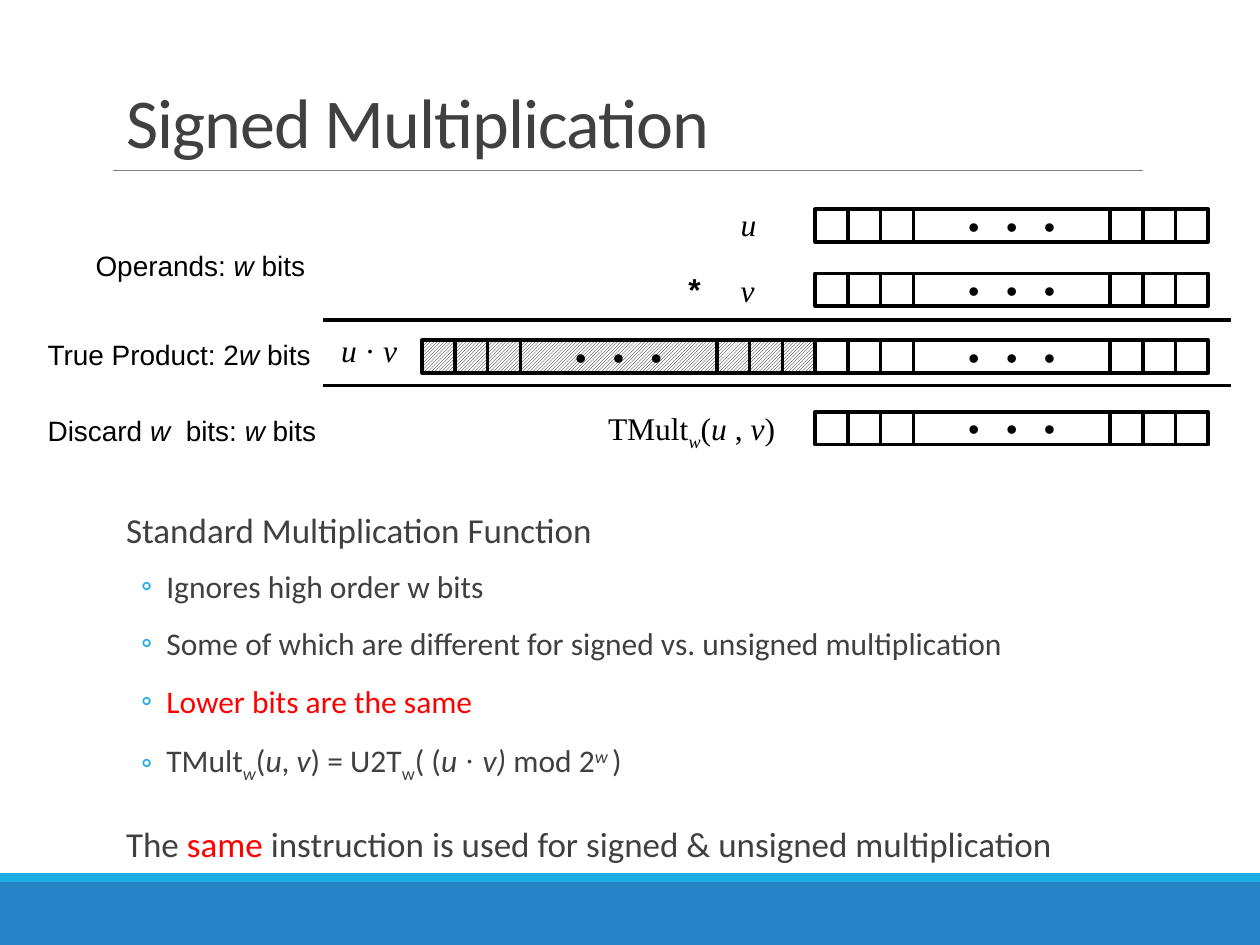
"""Build the Signed Multiplication slide: bit-row diagram above a short outline."""
import pptx
import pptx.dml.color
import pptx.enum.dml
import pptx.enum.shapes
import pptx.enum.text
import pptx.oxml.ns
import pptx.util
from lxml import etree

COLORS = {"ink": "000000", "paper": "FFFFFF", "text": "404040", "red": "FF0000",
          "rule": "808080", "band": "2683C6", "accent": "1CADE4"}
SANS, SERIF, MONO, BODY = "Arial", "Times New Roman", "Courier New", "Calibri"
WIDTH, HEIGHT = 10, 7.5
CELL = 0.26
BITS = [(0, 1), (1, 1), (2, 1), (9, 1), (10, 1), (11, 1), (3, 6)]
LOW = 6.47
HIGH = LOW - 12 * CELL
DOTS = "•\u00a0•\u00a0•"
ROWS = [(LOW, 1.66, False), (LOW, 2.17, False), (LOW, 2.7, False),
        (HIGH, 2.7, True), (LOW, 3.27, False)]
RULES = [(0.9, 9.07, 1.35, "rule", 0.5), (2.56, 9.77, 2.54, "ink", 2), (2.56, 9.77, 3.06, "ink", 2)]
BANDS = [(7, 0.5, "band"), (6.93, 0.07, "accent")]

LABELS = [
    ((5.78, 1.58, 0.34, 0.42), 18, SERIF, "l", [("u", "i")]),
    ((5.78, 2.1, 0.33, 0.42), 18, SERIF, "l", [("v", "i")]),
    ((5.34, 2.1, 0.37, 0.42), 18, MONO, "l", [("*", "b")]),
    ((2.56, 2.58, 0.69, 0.42), 18, SERIF, "r", [("u ", "i"), ("· ", ""), ("v", "i")]),
    ((0.66, 1.92, 1.89, 0.37), 16, SANS, "l", [("Operands: ", ""), ("w", "i"), (" bits", "")]),
    ((0.28, 2.63, 2.31, 0.37), 16, SANS, "l", [("True Product: 2", ""), ("w", "i"), (" bits", "")]),
    ((0.28, 3.23, 2.78, 0.37), 16, SANS, "l",
     [("Discard ", ""), ("w ", "i"), (" bits: ", ""), ("w", "i"), (" bits", "")]),
    ((4.69, 3.2, 1.56, 0.4), 18, SERIF, "r",
     [("TMult", ""), ("w", "i sub"), ("(", ""), ("u", "i"), (" , ", ""), ("v", "i"), (")", "")]),
]
OUTLINE = [
    (0, [("Standard Multiplication Function", "")]),
    (1, [("Ignores high order w bits", "")]),
    (1, [("Some of which are different for signed vs. unsigned multiplication", "")]),
    (1, [("Lower bits are the same", "red")]),
    (1, [("TMult", ""), ("w", "i sub"), ("(", ""), ("u", "i"), (", ", ""), ("v", "i"),
         (") = U2T", ""), ("w", "sub"), ("( (", ""), ("u ", "i"), ("· ", "serif"),
         ("v) ", "i"), ("mod 2", ""), ("w ", "i sup"), (")", "")]),
    (0, [("The ", ""), ("same", "red"),
         (" instruction is used for signed & unsigned multiplication", "")]),
]
LEVELS = [{"size": 20, "before": 12, "after": 2, "margin": 0.1, "indent": 0},
          {"size": 18, "before": 2, "after": 4, "margin": 0.42, "indent": -0.2}]
ALIGN = {"l": pptx.enum.text.PP_ALIGN.LEFT, "r": pptx.enum.text.PP_ALIGN.RIGHT,
         "c": pptx.enum.text.PP_ALIGN.CENTER}


def rgb(name):
    return pptx.dml.color.RGBColor.from_string(COLORS[name])


def inches(*values):
    return [pptx.util.Inches(v) for v in values]


def add_runs(p, runs, size, face, color):
    for text, style in runs:
        flags = style.split()
        r = p.add_run()
        r.text = text
        r.font.size = pptx.util.Pt(size)
        r.font.name = SERIF if "serif" in flags else face
        r.font.color.rgb = rgb("red" if "red" in flags else color)
        r.font.italic = "i" in flags
        r.font.bold = "b" in flags
        for flag, shift in (("sub", "-25000"), ("sup", "30000")):
            if flag in flags:
                r.font._element.set("baseline", shift)


def add_rect(s, box, fill=None):
    sp = s.shapes.add_shape(pptx.enum.shapes.MSO_SHAPE.RECTANGLE, *inches(*box))
    sp.shadow.inherit = False
    if fill:
        sp.fill.solid()
        sp.fill.fore_color.rgb = rgb(fill)
        sp.line.fill.background()
    return sp


def add_bit_row(s, left, top, hatched):
    for col, span in BITS:
        sp = add_rect(s, (left + col * CELL, top, span * CELL, CELL))
        sp.line.color.rgb = rgb("ink")
        sp.line.width = pptx.util.Pt(2)
        if hatched:
            sp.fill.patterned()
            sp.fill.pattern = pptx.enum.dml.MSO_PATTERN.LIGHT_UPWARD_DIAGONAL
            sp.fill.fore_color.rgb = rgb("ink")
            sp.fill.back_color.rgb = rgb("paper")
        else:
            sp.fill.background()
        if span > 1:
            tf = sp.text_frame
            tf.word_wrap = False
            tf.vertical_anchor = pptx.enum.text.MSO_ANCHOR.MIDDLE
            tf.paragraphs[0].alignment = ALIGN["c"]
            add_runs(tf.paragraphs[0], [(DOTS, "")], 18, MONO, "ink")


def add_rule(s, x1, x2, y, color, width):
    line = s.shapes.add_connector(pptx.enum.shapes.MSO_CONNECTOR.STRAIGHT, *inches(x1, y, x2, y))
    line.line.color.rgb = rgb(color)
    line.line.width = pptx.util.Pt(width)
    etree.SubElement(line._element.spPr, pptx.oxml.ns.qn("a:effectLst"))


def add_label(s, box, size, face, align, runs):
    tf = s.shapes.add_textbox(*inches(*box)).text_frame
    tf.word_wrap = False
    tf.paragraphs[0].alignment = ALIGN[align]
    add_runs(tf.paragraphs[0], runs, size, face, "ink")


def add_bullet(pPr):
    color = etree.SubElement(pPr, pptx.oxml.ns.qn("a:buClr"))
    etree.SubElement(color, pptx.oxml.ns.qn("a:srgbClr"), val=COLORS["accent"])
    etree.SubElement(pPr, pptx.oxml.ns.qn("a:buFont"), typeface=BODY)
    etree.SubElement(pPr, pptx.oxml.ns.qn("a:buChar"), char="◦")


def add_outline(s):
    tf = s.shapes.add_textbox(*inches(0.9, 3.9, 8.25, 3.13)).text_frame
    tf.word_wrap = True
    tf.margin_left = tf.margin_right = 0
    for n, (level, runs) in enumerate(OUTLINE):
        look = LEVELS[level]
        p = tf.add_paragraph() if n else tf.paragraphs[0]
        p.level = level
        p.line_spacing = 1.25
        p.space_before = pptx.util.Pt(look["before"] if n else 0)
        p.space_after = pptx.util.Pt(look["after"])
        pPr = p._p.get_or_add_pPr()
        pPr.set("marL", str(pptx.util.Inches(look["margin"])))
        pPr.set("indent", str(pptx.util.Inches(look["indent"])))
        if level:
            add_bullet(pPr)
        add_runs(p, runs, look["size"], BODY, "text")


def set_title(s, text):
    title = s.shapes.title
    title.left, title.top, title.width, title.height = inches(0.9, 0.01, 8.25, 1.33)
    tf = title.text_frame
    tf.vertical_anchor = pptx.enum.text.MSO_ANCHOR.BOTTOM
    p = tf.paragraphs[0]
    p.alignment = ALIGN["l"]
    p.line_spacing = 0.85
    add_runs(p, [(text, "")], 40, BODY, "text")
    p.runs[0].font._element.set("spc", "-50")


def main():
    prs = pptx.Presentation()
    prs.slide_width, prs.slide_height = inches(WIDTH, HEIGHT)
    s = prs.slides.add_slide(prs.slide_layouts[5])
    for top, height, color in BANDS:
        add_rect(s, (0, top, WIDTH, height), color)
    set_title(s, "Signed Multiplication")
    add_outline(s)
    for row in ROWS:
        add_bit_row(s, *row)
    for rule in RULES:
        add_rule(s, *rule)
    for label in LABELS:
        add_label(s, *label)
    prs.save("out.pptx")


if __name__ == "__main__":
    main()
